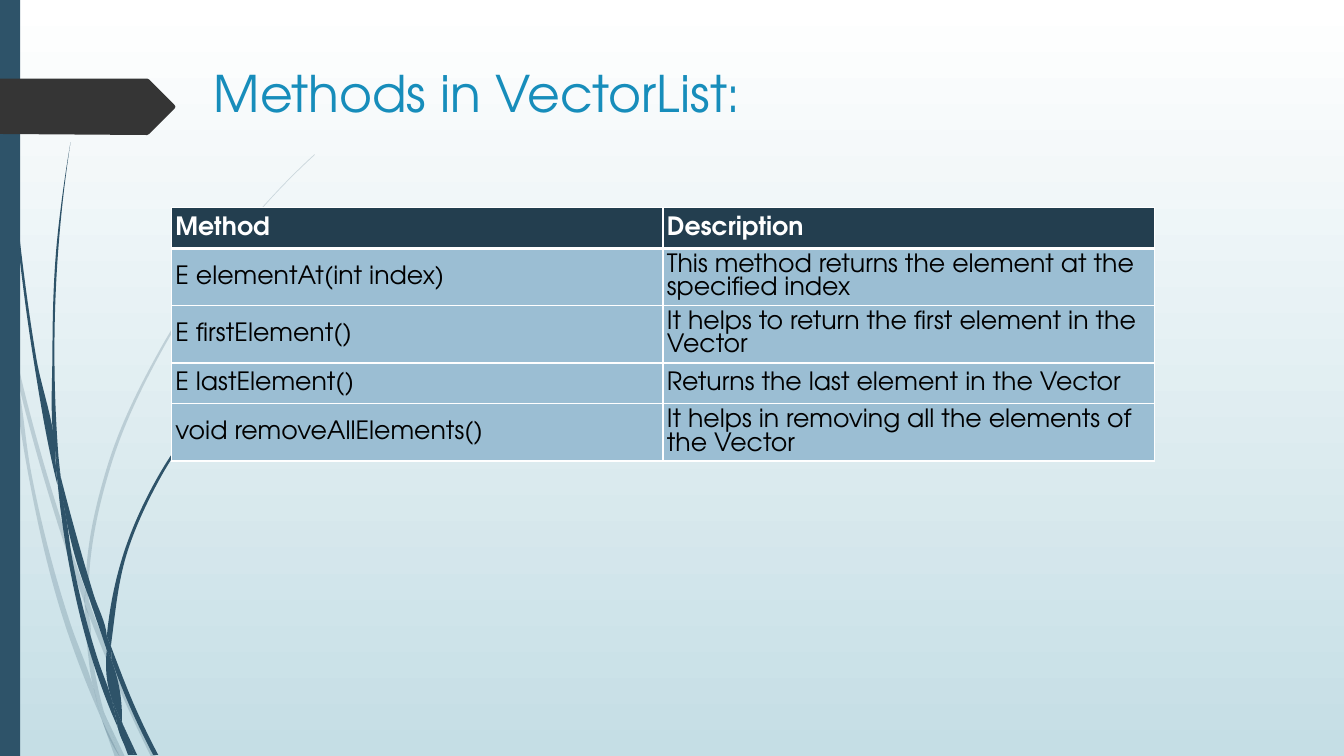
from math import dist

from lxml.etree import SubElement
from pptx import Presentation
from pptx.dml.color import RGBColor
from pptx.enum.shapes import MSO_SHAPE
from pptx.enum.text import MSO_ANCHOR, PP_ALIGN
from pptx.oxml.ns import qn
from pptx.util import Inches, Pt

COLOR = {"sky": "FFFFFF", "mist": "C5DEE5", "reed": "2E5369", "tag": "353535",
         "title": "178DBB", "head": "233E4F", "cell": "9BBED3",
         "white": "FFFFFF", "black": "000000"}
FONT = "TeX Gyre Adventor"
WIDE, HIGH = 13.33, 7.5
CELL = 0.01  # grid step in inches

# Each blade is two edges, both listed as x, y pairs in grid cells
PALE = [
    ([11, 350, 9, 322, 0, 282], [0, 299, 10, 344, 11, 350]),
    ([14, 345, 62, 520, 85, 586], [84, 599, 58, 522, 17, 376]),
    ([88, 596, 92, 607, 127, 692, 155, 751], [150, 751, 123, 694, 88, 610]),
    ([105, 711, 124, 751], [119, 751, 105, 711]),
    ([11, 350, 17, 376, 31, 469, 70, 619, 93, 683, 99, 707, 101, 714],
     [92, 693, 65, 621, 28, 470, 11, 350]),
    ([84, 599, 87, 646, 93, 683, 96, 692, 105, 711],
     [103, 706, 91, 646, 88, 610, 84, 599]),
    ([85, 586, 85, 584, 107, 461, 158, 348, 228, 244, 268, 197, 289, 175, 312, 153],
     [312, 154, 290, 175, 268, 198, 229, 245, 160, 349, 110, 462, 88, 584, 88, 596]),
    ([101, 714, 114, 751], [119, 751, 101, 714]),
    ([85, 586, 84, 599, 88, 610], [88, 596, 85, 586]),
    ([93, 683, 99, 707, 101, 714, 119, 751], [105, 711, 96, 692, 93, 683]),
]
DARK = [
    ([3, 0, 4, 48, 7, 110, 17, 233, 33, 355, 56, 477, 57, 481],
     [55, 457, 55, 453, 36, 355, 19, 232, 8, 109, 5, 48, 4, 0]),
    ([60, 472, 93, 590, 106, 631, 106, 645], [88, 592, 64, 505, 60, 472]),
    ([110, 641, 113, 649, 136, 706, 157, 749], [152, 749, 132, 708, 111, 656]),
    ([57, 477, 64, 505, 72, 556, 98, 657, 110, 691, 116, 717, 117, 722],
     [111, 708, 93, 659, 68, 557, 57, 477]),
    ([70, 141, 62, 193, 56, 245, 52, 349, 55, 449, 60, 472],
     [58, 453, 54, 349, 58, 245, 63, 193, 70, 141]),
    ([122, 719, 136, 749], [133, 749, 122, 719]),
    ([55, 449, 55, 453, 57, 477, 64, 505], [60, 472, 55, 449]),
    ([106, 631, 122, 551, 156, 474, 204, 405, 231, 373, 245, 358, 260, 344],
     [261, 344, 245, 359, 231, 374, 205, 406, 158, 476, 125, 552, 111, 633, 110, 641]),
    ([117, 722, 127, 749], [131, 749, 117, 722]),
    ([106, 645, 110, 691, 116, 706, 122, 719],
     [121, 716, 111, 656, 109, 651, 106, 645]),
    ([106, 631, 106, 645, 109, 651, 111, 656], [110, 641, 106, 631]),
    ([110, 691, 116, 717, 117, 722, 130, 749], [133, 749, 122, 719, 116, 706, 110, 691]),
]
TAG = [0, 0, 146, 0, 148, 1, 173, 26, 174, 28, 173, 30, 148, 55, 146, 56, 0, 55]

ROWS = [
    ("Method", "Description"),
    ("E elementAt(int index)", "This method returns the element at the specified index"),
    ("E firstElement()", "It helps to return the first element in the Vector"),
    ("E lastElement()", "Returns the last element in the Vector"),
    ("void removeAllElements()", "It helps in removing all the elements of the Vector"),
]


def tint(name):
    return RGBColor.from_string(COLOR[name])


def style(item, form):
    for key, value in form.items():
        setattr(item, key, value)


def place(item, box):
    style(item, dict(zip(("left", "top", "width", "height"), map(Inches, box))))


def paint(shape, name, alpha=None):
    shape.shadow.inherit = False
    shape.fill.solid()
    shape.fill.fore_color.rgb = tint(name)
    shape.line.fill.background()
    if alpha:
        hue = shape.fill._xPr.find(qn("a:solidFill"))[0]
        SubElement(hue, qn("a:alpha"), val=str(alpha * 1000))


def spots(flat, box):
    return [(Inches(box[0] + x * CELL), Inches(box[1] + y * CELL))
            for x, y in zip(flat[::2], flat[1::2])]


def slopes(knots):
    """Give the tangent at each knot, weighted by the lengths on both sides."""
    gaps = [dist(p, q) for p, q in zip(knots, knots[1:])]
    runs = [[(b - a) / gap for a, b in zip(p, q)]
            for p, q, gap in zip(knots, knots[1:], gaps)]
    inner = [[(a * h + b * g) / (g + h) for a, b in zip(u, v)]
             for u, v, g, h in zip(runs, runs[1:], gaps, gaps[1:])]
    if not inner:
        return gaps, runs * 2
    first, last = ([2 * a - b for a, b in zip(u, v)]
                   for u, v in ((runs[0], inner[0]), (runs[-1], inner[-1])))
    return gaps, [first, *inner, last]


def bend(shape, knots, lines):
    """Turn the straight steps between the knots into cubic curves."""
    gaps, ways = slopes(knots)
    for p, q, u, v, gap, line in zip(knots, knots[1:], ways, ways[1:], gaps, lines):
        near = [a + b * gap / 3 for a, b in zip(p, u)]
        far = [a - b * gap / 3 for a, b in zip(q, v)]
        line.tag = qn("a:cubicBezTo")
        line.remove(line[0])
        for x, y in (near, far, q):
            SubElement(line, qn("a:pt"), x=str(round(x - shape.left)),
                       y=str(round(y - shape.top)))


def outline(shapes, points):
    pen = shapes.build_freeform(*points[0])
    pen.add_line_segments(points[1:], close=True)
    return pen.convert_to_shape()


def reeds(slide, blades, box, alpha=None):
    group = slide.shapes.add_group_shape()
    for edges in blades:
        out, back = (spots(edge, box) for edge in edges)
        blade = outline(group.shapes, out + back)
        lines = list(blade._element.iter(qn("a:lnTo")))
        if len(out) > 2:
            bend(blade, out, lines)
        if len(back) > 2:
            bend(blade, back, lines[len(out):])
        paint(blade, "reed", alpha)


def decor(slide, box):
    # Background fade
    fill = slide.background.fill
    fill.gradient()
    fill.gradient_angle = 270
    for stop, name in zip(fill.gradient_stops, ("sky", "mist")):
        stop.color.rgb = tint(name)
    # Grass blades, side bar and arrow tag
    left, top, wide, high = box
    reeds(slide, PALE, box, 20)
    reeds(slide, DARK, box)
    bar = slide.shapes.add_shape(MSO_SHAPE.RECTANGLE, 0, 0, 0, 0)
    place(bar, (left, top, wide * 0.015, high))
    paint(bar, "reed")
    paint(outline(slide.shapes, spots(TAG, (left, top + high * 0.104))), "tag")


def heading(slide, text, box):
    title = slide.shapes.title
    place(title, box)
    title.text = text
    title.text_frame.vertical_anchor = MSO_ANCHOR.TOP
    line = title.text_frame.paragraphs[0]
    line.alignment = PP_ALIGN.LEFT
    style(line.runs[0].font, {"name": FONT, "size": Pt(36)})
    line.runs[0].font.color.rgb = tint("title")


def border(cell, head):
    props = cell._tc.get_or_add_tcPr()
    for spot, side in enumerate("LRTB"):
        size = Pt(3 if head and side == "B" else 1)
        edge = SubElement(props, qn("a:ln" + side), w=str(size))
        SubElement(SubElement(edge, qn("a:solidFill")), qn("a:srgbClr"), val=COLOR["white"])
        props.insert(spot, edge)


def grid(slide, rows, box):
    left, top, wide, high = box
    frame = slide.shapes.add_table(len(rows), len(rows[0]), *map(Inches, box))
    for row, texts in zip(frame.table.rows, rows):
        head = texts is rows[0]
        row.height = Inches(2.03 / len(rows))
        for cell, text in zip(row.cells, texts):
            cell.text = text
            style(cell, {"vertical_anchor": MSO_ANCHOR.MIDDLE, "margin_left": Inches(0.04)})
            cell.fill.solid()
            cell.fill.fore_color.rgb = tint("head" if head else "cell")
            font = cell.text_frame.paragraphs[0].runs[0].font
            style(font, {"name": FONT, "size": Pt(18), "bold": head})
            font.color.rgb = tint("white" if head else "black")
            border(cell, head)
    frame.height = Inches(high)


def main():
    deck = Presentation()
    style(deck, {"slide_width": Inches(WIDE), "slide_height": Inches(HIGH)})
    slide = deck.slides.add_slide(deck.slide_layouts[5])
    decor(slide, (0, 0, WIDE, HIGH))
    heading(slide, "Methods in VectorList:", (2.02, 0.57, 9.75, 1.4))
    grid(slide, ROWS, (1.7, 2.06, 9.75, 2.91))
    deck.save("out.pptx")


if __name__ == "__main__":
    main()
